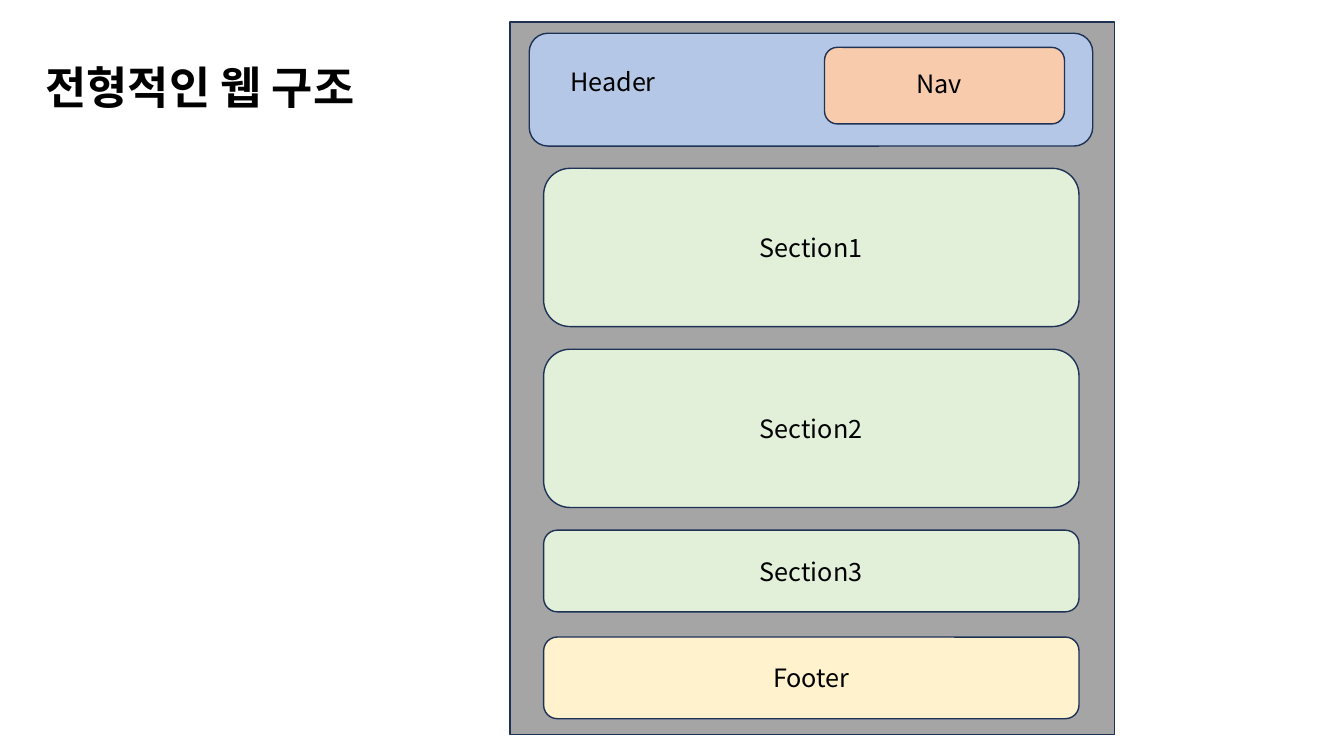
from lxml.etree import SubElement
from pptx import Presentation
from pptx.dml.color import RGBColor
from pptx.enum.shapes import MSO_SHAPE as Shape
from pptx.enum.text import MSO_ANCHOR as Anchor, MSO_AUTO_SIZE as AutoSize, PP_ALIGN as Align
from pptx.oxml.ns import qn
from pptx.util import Inches, Pt

SLIDE_WIDTH, SLIDE_HEIGHT = Inches(13.333), Inches(7.5)
FONT = "Noto Sans CJK KR"
COLORS = {
    "text": "000000",
    "outline": "1E3256",
    "page": "A5A5A5",
    "header": "B4C7E7",
    "nav": "F8CBAD",
    "section": "E2F0D9",
    "footer": "FFF2CC",
}
LABEL_FRAME = {"word_wrap": True, "vertical_anchor": Anchor.TOP,
               "auto_size": AutoSize.SHAPE_TO_FIT_TEXT}
BLOCK_FRAME = {"word_wrap": True, "vertical_anchor": Anchor.MIDDLE}

# Layout, in percent of the slide's width and height
BODY_LEFT, BODY_WIDTH = 40.45, 39.83
SECTIONS_TOP, SECTION_GAP = 22.27, 3
SECTIONS = [("Section1", 20.93), ("Section2", 20.93), ("Section3", 10.8)]


def color(name):
    return RGBColor.from_string(COLORS[name])


def area(left, top, width, height):
    """Turn percentages of the slide into a left, top, width, height box."""
    return (int(SLIDE_WIDTH * left / 100), int(SLIDE_HEIGHT * top / 100),
            int(SLIDE_WIDTH * width / 100), int(SLIDE_HEIGHT * height / 100))


def apply(target, formats):
    for name, value in formats.items():
        setattr(target, name, value)


def write(frame, words, frame_format, align=Align.LEFT, size=18, bold=False):
    apply(frame, frame_format)
    paragraph = frame.paragraphs[0]
    paragraph.alignment = align
    run = paragraph.add_run()
    run.text = words
    apply(run.font, {"name": FONT, "size": Pt(size), "bold": bold})
    run.font.color.rgb = color("text")
    SubElement(run.font._element, qn("a:ea"), typeface=FONT)


def add_title(slide, words, box):
    title = slide.shapes.title
    apply(title, dict(zip(("left", "top", "width", "height"), box)))
    write(title.text_frame, words, LABEL_FRAME, size=32, bold=True)


def add_block(diagram, fill, box, words="", outline=Shape.ROUNDED_RECTANGLE):
    block = diagram.shapes.add_shape(outline, *box)
    block.shadow.inherit = False
    block.fill.solid()
    block.fill.fore_color.rgb = color(fill)
    block.line.color.rgb = color("outline")
    block.line.width = Pt(1)
    if words:
        write(block.text_frame, words, BLOCK_FRAME, Align.CENTER)


def add_label(diagram, words, box):
    label = diagram.shapes.add_textbox(*box)
    write(label.text_frame, words, LABEL_FRAME)


def add_sections(diagram):
    top = SECTIONS_TOP
    for words, height in SECTIONS:
        add_block(diagram, "section", area(BODY_LEFT, top, BODY_WIDTH, height), words)
        top += height + SECTION_GAP


def main():
    deck = Presentation()
    apply(deck, {"slide_width": SLIDE_WIDTH, "slide_height": SLIDE_HEIGHT})
    slide = deck.slides.add_slide(deck.slide_layouts.get_by_name("Title Only"))
    add_title(slide, "전형적인 웹 구조", area(2.63, 7.2, 36.98, 8.53))

    diagram = slide.shapes.add_group_shape()
    add_block(diagram, "page", area(37.95, 2.93, 45, 94.27), outline=Shape.RECTANGLE)
    add_block(diagram, "header", area(39.38, 4.4, 41.93, 14.93))
    add_block(diagram, "nav", area(61.35, 6.27, 17.85, 10.13))
    add_label(diagram, "Header", area(41.7, 8.13, 16.65, 6.27))
    add_label(diagram, "Nav", area(67.43, 8.4, 11.78, 6.27))
    add_sections(diagram)
    add_block(diagram, "footer", area(BODY_LEFT, 84.27, BODY_WIDTH, 10.8), "Footer")
    deck.save("out.pptx")


if __name__ == "__main__":
    main()
